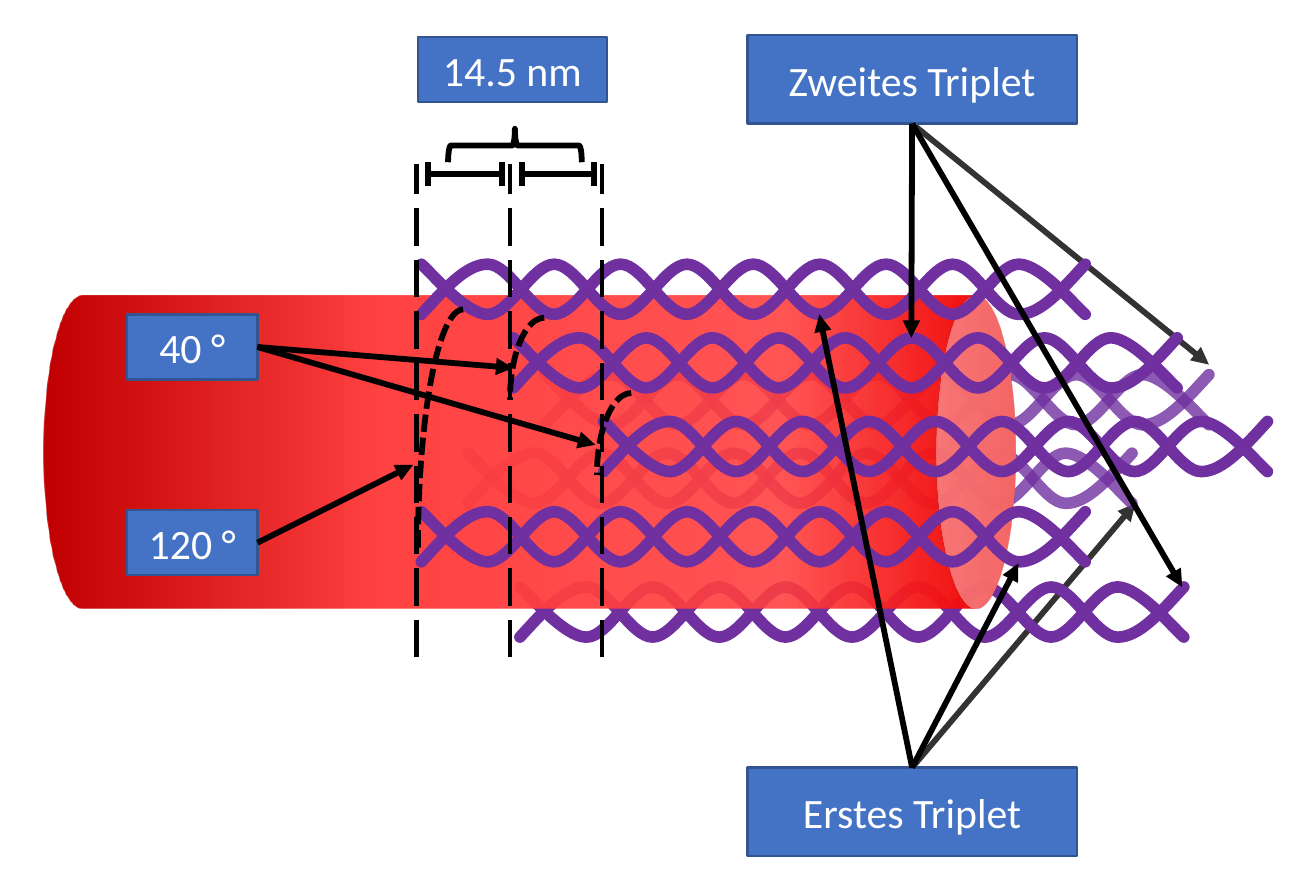
from lxml import etree
from pptx import Presentation
from pptx import util as u
from pptx.dml.color import RGBColor
from pptx.enum import dml, shapes, text
from pptx.oxml import parse_xml
from pptx.oxml.ns import nsdecls, qn

PX = 9144
COLORS = {
    "label": "4472C4", "label_edge": "325491", "label_text": "FFFFFF",
    "strand": "7030A0", "ink": "000000",
    "rod_tip": "ED0000", "rod_body": "FF3F3F", "rod_end": "C00000",
}
RIGHT, TOP, BOTTOM = 3, 0, 2


def style_line(shape, color="ink", width=2.5, opacity=100, dash=None):
    shape.line.fill.solid()
    shape.line.fill.fore_color.rgb = RGBColor.from_string(COLORS[color])
    line_format = {"width": u.Pt(width), "dash_style": dash}
    for name, value in line_format.items():
        setattr(shape.line, name, value)
    properties = shape.element.spPr
    if opacity < 100:
        tint = properties.find(".//" + qn("a:ln") + "//" + qn("a:srgbClr"))
        etree.SubElement(tint, qn("a:alpha")).set("val", str(opacity * 1000))
    if properties.find(qn("a:effectLst")) is None:
        etree.SubElement(properties, qn("a:effectLst"))
    return properties.find(qn("a:ln"))


def add_line(begin, end, label=None, site=None, arrow=False, **line_style):
    points = [value * PX for value in (*begin, *end)]
    connector = slide.shapes.add_connector(shapes.MSO_CONNECTOR.STRAIGHT, *points)
    if label:
        connector.begin_connect(labels[label], site)
    line = style_line(connector, **line_style)
    if arrow:
        etree.SubElement(line, qn("a:tailEnd")).set("type", "triangle")
    return connector


presentation = Presentation()
presentation.slide_width = 787 * PX
presentation.slide_height = 531 * PX
slide = presentation.slides.add_slide(presentation.slide_layouts[6])

HALF_WAVES, STRAND_WIDTH, STRAND_HEIGHT = 10, 397, 30
wave = []
for step in range(HALF_WAVES):
    start, end = (1, 0) if step % 2 == 0 else (0, 1)
    wave += [(step + 0.33, start), (step + 0.67, end), (step + 1, end)]
wave[0] = (0.35, 0.5)
wave[-2] = (HALF_WAVES - 0.15, 0.83)

label_boxes = {
    "Erstes Triplet": (447, 459, 197, 53),
    "Zweites Triplet": (447, 21, 197, 53),
    "14.5 nm": (250, 22, 113, 39),
    "40 °": (76, 188, 78, 39),
    "120 °": (76, 305, 78, 39),
}
back_strands = [(326, 224, 80), (311, 351, 100), (280, 271, 80)]
front_strands = [(307, 202, 100), (361, 252, 100), (252, 158, 100), (252, 306, 100)]
back_arrows = [
    ("Zweites Triplet", BOTTOM, (545, 74), (723, 218)),
    ("Erstes Triplet", TOP, (545, 459), (679, 301)),
]
front_arrows = [
    ("Erstes Triplet", TOP, (545, 459), (490, 188)),
    ("Erstes Triplet", TOP, (545, 459), (609, 337)),
    ("Zweites Triplet", BOTTOM, (545, 74), (545, 202)),
    ("Zweites Triplet", BOTTOM, (545, 74), (707, 351)),
    ("40 °", RIGHT, (154, 208), (307, 220)),
    ("40 °", RIGHT, (154, 208), (356, 266)),
    ("120 °", RIGHT, (154, 325), (247, 278)),
]

rod = slide.shapes.add_shape(
    shapes.MSO_SHAPE.CAN, *[value * PX for value in (223, -20, 187, 581)])
rod.rotation = 90
rod.shadow.inherit = False
rod.line.fill.background()
rod_stops = [(0, "rod_tip", 100), (24, "rod_body", 88), (65, "rod_body", 98), (100, "rod_end", 100)]
stops = "".join(
    f'<a:gs pos="{position * 1000}"><a:srgbClr val="{COLORS[color]}">'
    f'<a:alpha val="{opacity * 1000}"/></a:srgbClr></a:gs>'
    for position, color, opacity in rod_stops)
gradient = parse_xml(
    f'<a:gradFill {nsdecls("a")} rotWithShape="1"><a:gsLst>{stops}</a:gsLst>'
    '<a:lin ang="5400000" scaled="0"/></a:gradFill>')
rod.element.spPr.find(qn("a:prstGeom")).addnext(gradient)

helices = []
for left, top, opacity in back_strands + front_strands:
    helix = slide.shapes.add_group_shape()
    helices.append(helix)
    points = [
        (round((left + x * STRAND_WIDTH / HALF_WAVES) * PX), round((top + y * STRAND_HEIGHT) * PX))
        for x, y in wave]
    for rotation in (0, 180):
        builder = helix.shapes.build_freeform(left * PX, (top + STRAND_HEIGHT) * PX)
        builder.add_line_segments(points, close=False)
        strand = builder.convert_to_shape()
        strand.rotation = rotation
        strand.shadow.inherit = False
        strand.fill.background()
        style_line(strand, "strand", 5, opacity).set("cap", "rnd")
        segments = list(strand.element.iter(qn("a:lnTo")))
        for index in range(0, len(segments), 3):
            curve = etree.Element(qn("a:cubicBezTo"))
            segments[index].addprevious(curve)
            for segment in segments[index:index + 3]:
                curve.append(segment[0])
                segment.getparent().remove(segment)
    if (left, top, opacity) in back_strands:
        rod.element.addprevious(helix.element)

labels = {}
for words, box in label_boxes.items():
    label = slide.shapes.add_shape(shapes.MSO_SHAPE.RECTANGLE, *[value * PX for value in box])
    label.shadow.inherit = False
    label.fill.solid()
    label.fill.fore_color.rgb = RGBColor.from_string(COLORS["label"])
    style_line(label, "label_edge", 1)
    label.text_frame.vertical_anchor = text.MSO_ANCHOR.MIDDLE
    paragraph = label.text_frame.paragraphs[0]
    paragraph.alignment = text.PP_ALIGN.CENTER
    run = paragraph.add_run()
    run.text = words
    for name, value in {"name": "Calibri", "size": u.Pt(18)}.items():
        setattr(run.font, name, value)
    run.font.color.rgb = RGBColor.from_string(COLORS["label_text"])
    labels[words] = label

for words, site, begin, end in back_arrows:
    back_arrow = add_line(begin, end, words, site, arrow=True, opacity=80)
    helices[0].element.addprevious(back_arrow.element)

for words, site, begin, end in front_arrows:
    add_line(begin, end, words, site, arrow=True)

for box in [(357, 235, 41, 98), (250, 185, 54, 285), (305, 190, 41, 98)]:
    arc = slide.shapes.add_shape(shapes.MSO_SHAPE.ARC, *[value * PX for value in box])
    arc.shadow.inherit = False
    arc.fill.background()
    arc.element.spPr.find(qn("a:xfrm")).set("flipH", "1")
    style_line(arc, dash=dml.MSO_LINE.SQUARE_DOT)

for x in (249, 305, 360):
    add_line((x, 393), (x, 98), width=2, dash=dml.MSO_LINE.LONG_DASH)

for left, right in [(256, 300), (312, 355)]:
    add_line((left, 104), (right, 104))
    for x in (left, right):
        add_line((x, 97), (x, 111))

brace = slide.shapes.add_shape(
    shapes.MSO_SHAPE.RIGHT_BRACE, *[value * PX for value in (298, 47, 20, 80)])
brace.rotation = 270
brace.shadow.inherit = False
brace.fill.background()
style_line(brace)

presentation.save("out.pptx")
